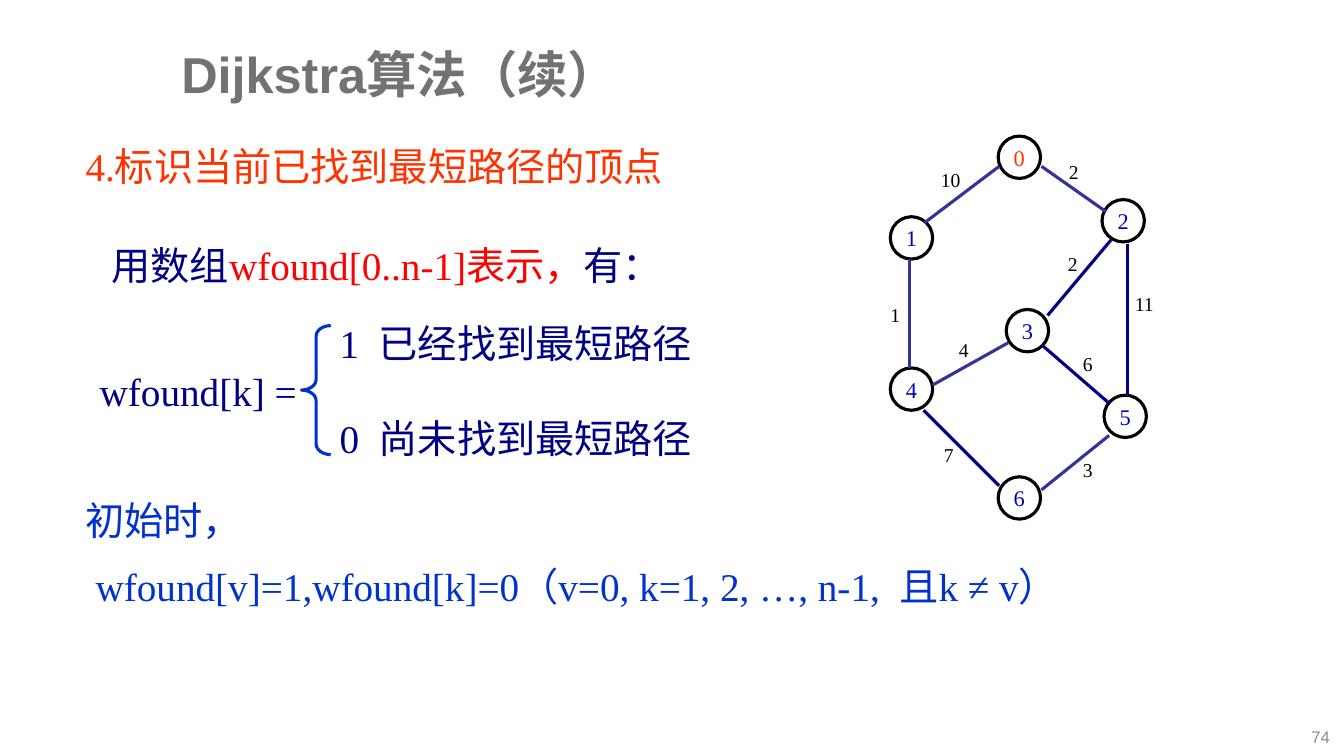
from lxml import etree
from pptx import Presentation
from pptx import util as u
from pptx.dml.color import RGBColor
from pptx.enum import shapes, text
from pptx.oxml.ns import qn

SERIF, SANS = "Times New Roman", "Arial"
NAVY, BLUE, RED, ORANGE = "000084", "0033CC", "FF0000", "FF3300"
NODE_SIZE = 0.42
NODES = {
    "0": (9.9, 1.35), "1": (8.83, 2.15), "2": (10.93, 1.98), "3": (9.98, 3.07),
    "4": (8.83, 3.65), "5": (10.95, 3.92), "6": (9.9, 4.73),
}
INDIGO, DARK = "333399", "000080"
EDGES = [
    ((10.33, 1.65), (10.97, 2.1), INDIGO, "2", (10.65, 1.7)),
    ((9.91, 1.65), (9.17, 2.21), INDIGO, "10", (9.43, 1.78)),
    ((11.18, 2.42), (11.18, 3.92), DARK, "11", (11.35, 3.01)),
    ((9.02, 2.57), (9.02, 3.65), INDIGO, "1", (8.88, 3.12)),
    ((11.02, 2.38), (10.39, 3.13), DARK, "2", (10.64, 2.62)),
    ((9.25, 3.82), (10, 3.4), INDIGO, "4", (9.56, 3.47)),
    ((10.33, 3.42), (11, 4), DARK, "6", (10.79, 3.61)),
    ((9.16, 4.07), (9.91, 4.82), DARK, "7", (9.41, 4.51)),
    ((11, 4.32), (10.33, 4.86), INDIGO, "3", (10.79, 4.66)),
]
TEXTS = [
    ((1.7, 0.34, 11.25, 0.85), [[("Dijkstra算法（续）", "767171")]],
     dict(size=36, font=SANS, bold=True, anchor="MIDDLE", spacing=0.9)),
    ((12.82, 7.12, 0.47, 0.38), [[("74", "8C8C8C")]],
     dict(size=12, font=SANS, anchor="MIDDLE", align="RIGHT")),
    ((0.75, 1.36, 6.94, 0.57), [[("4.标识当前已找到最短路径的顶点", ORANGE)]], dict(shadow=True)),
    ((1.01, 2.25, 6.77, 0.62),
     [[("用数组", NAVY), ("wfound[0..n-1]表示，", RED), ("有：", NAVY)]], dict(spacing=1.2)),
    ((0.89, 3.03, 7.73, 1.61),
     [[("1  已经找到最短路径", NAVY)], [("wfound[k] =", NAVY)], [("0  尚未找到最短路径", NAVY)]],
     dict(spacing=(1.2, 1, 1), indents=(2.38, 0, 2.38))),
    ((0.75, 4.87, 11.07, 1.28),
     [[("初始时，", BLUE)], [("wfound[v]=1,wfound[k]=0（v=0, k=1, 2, …, n-1,  且k ≠ v）", BLUE)]],
     dict(before=14, indents=(0, 0.1))),
]
BRACE = (2.99, 3.23, 0.29, 1.28)


def color(value):
    return RGBColor.from_string(value)


def outline(shape, value):
    shape.line.color.rgb = color(value)
    shape.line.width = u.Pt(2.25)


def write(shape, paragraphs, size=28, font=SERIF, bold=False, align="LEFT", anchor="TOP",
          spacing=1, before=0, indents=(), shadow=False, inset=None):
    frame = shape.text_frame
    frame.word_wrap = inset is None
    frame.vertical_anchor = text.MSO_ANCHOR[anchor]
    if inset is not None:
        frame.margin_left = frame.margin_right = u.Inches(inset)
        frame.margin_top = frame.margin_bottom = u.Inches(inset)
    for index, pieces in enumerate(paragraphs):
        paragraph = frame.add_paragraph() if index else frame.paragraphs[0]
        paragraph.alignment = text.PP_ALIGN[align]
        paragraph.line_spacing = float(spacing[index] if isinstance(spacing, tuple) else spacing)
        paragraph.space_before = u.Pt(before)
        if indents:
            paragraph._p.get_or_add_pPr().set("marL", str(u.Inches(indents[index])))
        for words, value in pieces:
            run = paragraph.add_run()
            run.text = words
            run.font.size, run.font.name, run.font.bold = u.Pt(size), font, bold
            run.font.color.rgb = color(value)
            if shadow:
                effects = etree.Element(qn("a:effectLst"))
                outer = etree.SubElement(effects, qn("a:outerShdw"), dist="25400", dir="2700000")
                etree.SubElement(outer, qn("a:srgbClr"), val="000000")
                run.font.fill._xPr.find(qn("a:solidFill")).addnext(effects)


def add_shape(slide, kind, box):
    shape = slide.shapes.add_shape(kind, *map(u.Inches, box))
    shape.shadow.inherit = False
    shape.fill.background()
    return shape


def add_text(slide, box, paragraphs, **style):
    write(slide.shapes.add_textbox(*map(u.Inches, box)), paragraphs, **style)


def draw_graph(slide):
    for label, corner in NODES.items():
        node = add_shape(slide, shapes.MSO_SHAPE.OVAL, (*corner, NODE_SIZE, NODE_SIZE))
        outline(node, "000000")
        write(node, [[(label, ORANGE if label == "0" else "0000BE")]],
              size=16, align="CENTER", anchor="MIDDLE", inset=0)
    for start, end, value, weight, (x, y) in EDGES:
        edge = slide.shapes.add_connector(
            shapes.MSO_CONNECTOR.STRAIGHT, *map(u.Inches, start + end))
        outline(edge, value)
        etree.SubElement(edge._element.spPr, qn("a:effectLst"))
        width, height = 0.4, 0.34
        add_text(slide, (x - width / 2, y - height / 2, width, height),
                 [[(weight, "000000")]], size=14, align="CENTER", anchor="MIDDLE", inset=0)


def main():
    """Build the Dijkstra slide with its graph and save it."""
    presentation = Presentation()
    presentation.slide_width, presentation.slide_height = u.Inches(13.33), u.Inches(7.5)
    slide = presentation.slides.add_slide(presentation.slide_layouts[6])
    draw_graph(slide)
    brace = add_shape(slide, shapes.MSO_SHAPE.LEFT_BRACE, BRACE)
    brace.adjustments[0] = 0.36
    outline(brace, BLUE)
    for box, paragraphs, style in TEXTS:
        add_text(slide, box, paragraphs, **style)
    presentation.save("out.pptx")


if __name__ == "__main__":
    main()
